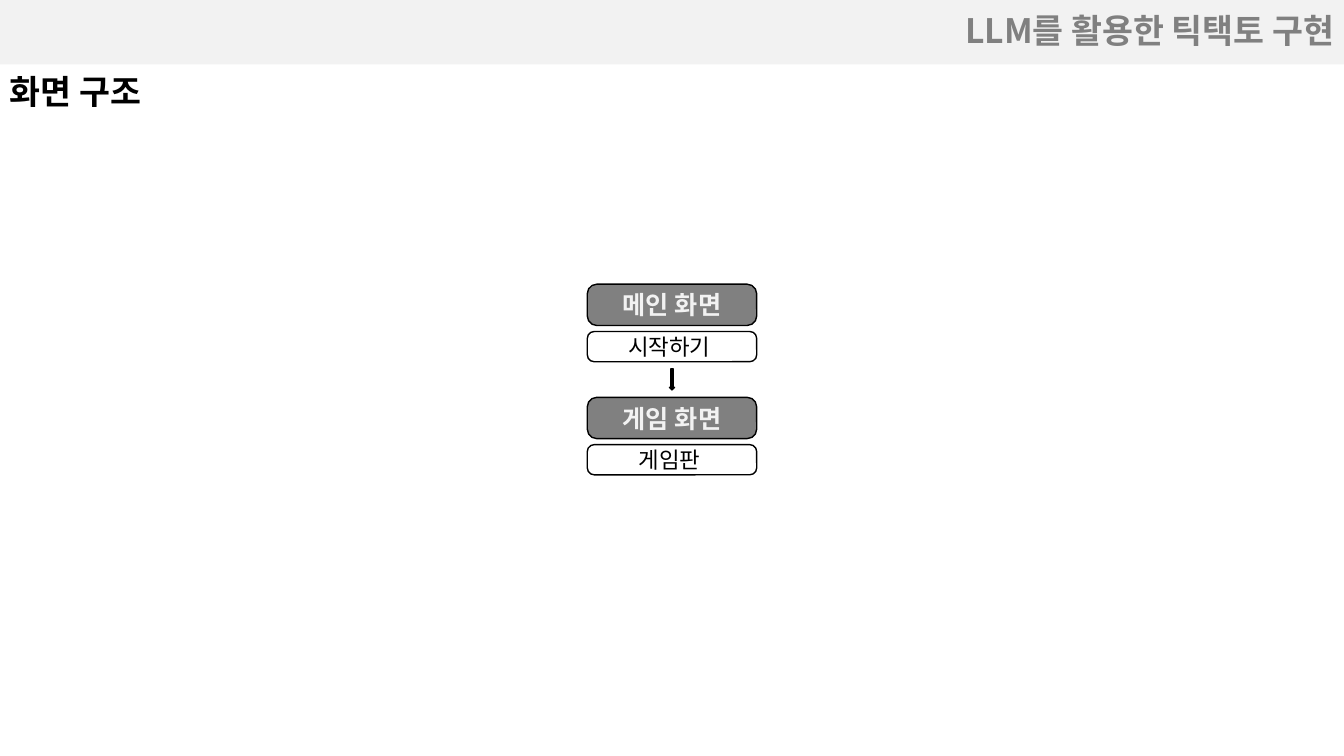
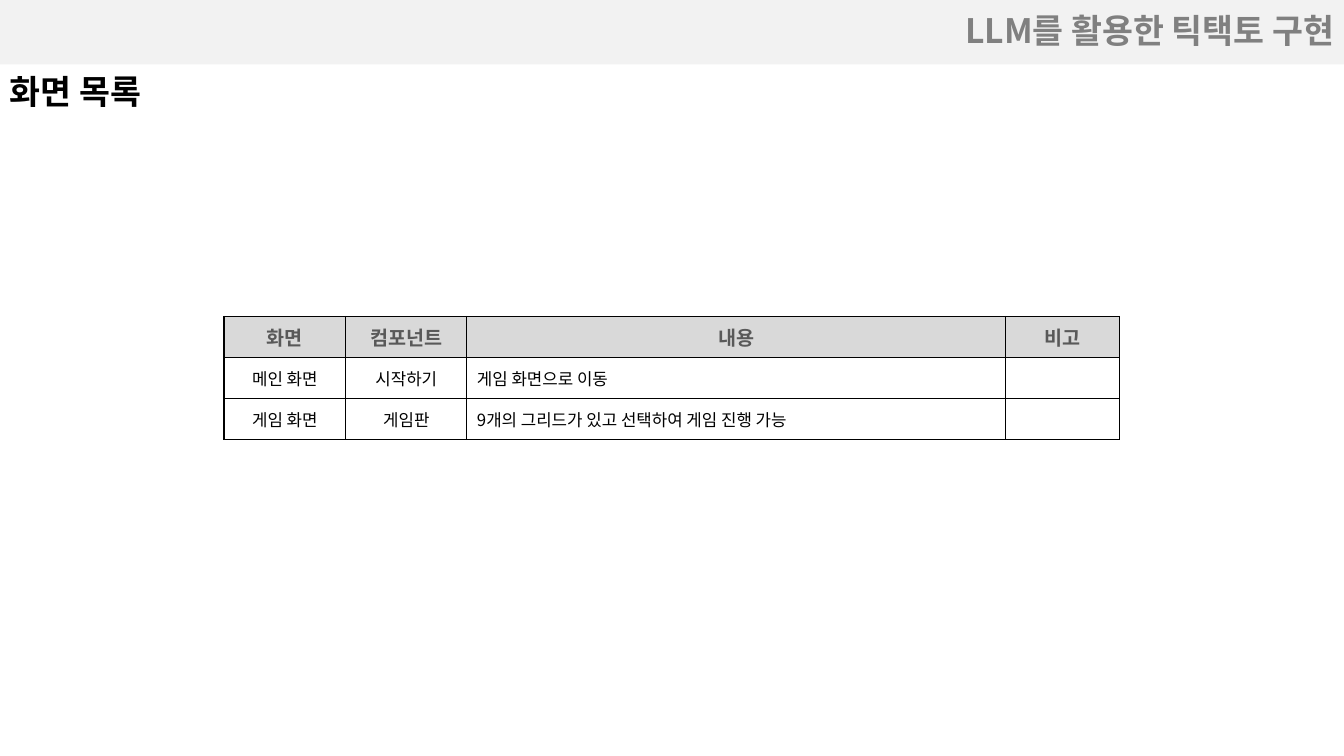
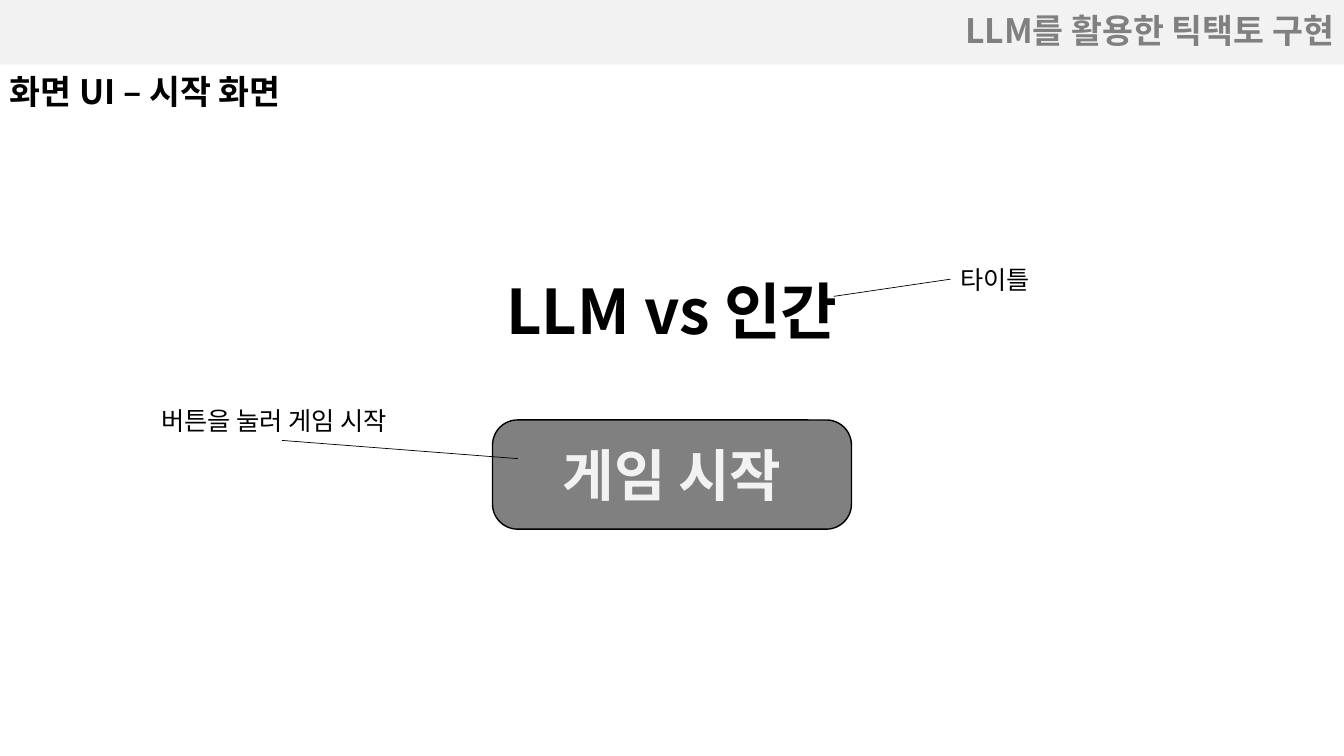
from lxml import etree
from pptx import Presentation
from pptx.dml.color import RGBColor
from pptx.enum.shapes import MSO_CONNECTOR, MSO_SHAPE
from pptx.enum.text import MSO_ANCHOR, MSO_AUTO_SIZE, PP_ALIGN
from pptx.oxml.ns import qn
from pptx.util import Pt

LEFT, CENTER, RIGHT = PP_ALIGN.LEFT, PP_ALIGN.CENTER, PP_ALIGN.RIGHT
MIDDLE = MSO_ANCHOR.MIDDLE
NO_FIT, GROW = MSO_AUTO_SIZE.NONE, MSO_AUTO_SIZE.SHAPE_TO_FIT_TEXT
ROUNDED, DOWN_ARROW = MSO_SHAPE.ROUNDED_RECTANGLE, MSO_SHAPE.DOWN_ARROW
STRAIGHT = MSO_CONNECTOR.STRAIGHT

FONT = "Noto Sans CJK KR"
WIDTH, HEIGHT = 960, 540
COLORS = {
    "black": "000000",
    "white": "FFFFFF",
    "band": "F2F2F2",
    "gray": "808080",
    "header": "D9D9D9",
    "header_text": "595959",
}
DECK_TITLE = "LLM를 활용한 틱택토 구현"


def color(name):
    return RGBColor.from_string(COLORS[name])


def centered(width):
    return (WIDTH - width) / 2


class Deck:
    """Holds the presentation, its style and the current slide."""

    def __init__(self):
        self.prs = Presentation()
        self.prs.slide_width, self.prs.slide_height = Pt(WIDTH), Pt(HEIGHT)
        self.slide = None

    def new_slide(self, heading):
        self.slide = self.prs.slides.add_slide(self.prs.slide_layouts[5])
        band = self.slide.shapes.title
        place = {"left": 0, "top": 0, "width": WIDTH, "height": 46}
        for key, value in place.items():
            setattr(band, key, Pt(value))
        band.fill.solid()
        band.fill.fore_color.rgb = color("band")
        band.text_frame.auto_size = NO_FIT
        self.put_text(band.text_frame, DECK_TITLE, 24, "gray", True, RIGHT, MIDDLE)
        band.text_frame.paragraphs[0].line_spacing = 0.9
        self.text(0, 46.8, WIDTH, 36, heading, 24, bold=True)

    def put_text(self, frame, text, size, ink="black", bold=False, align=LEFT, anchor=None):
        if anchor is not None:
            frame.vertical_anchor = anchor
        paragraph = frame.paragraphs[0]
        paragraph.alignment = align
        if not text:
            etree.SubElement(paragraph._p, qn("a:endParaRPr"), sz=str(size * 100))
            return
        run = paragraph.add_run()
        run.text = text
        for key, value in {"name": FONT, "size": Pt(size), "bold": bold}.items():
            setattr(run.font, key, value)
        run.font.color.rgb = color(ink)
        # East Asian typeface for the Korean text
        latin = run.font._element.find(qn("a:latin"))
        east_asian = etree.Element(qn("a:ea"), typeface=FONT)
        latin.addnext(east_asian)

    def text(self, left, top, width, height, text, size, bold=False, align=LEFT, wrap=True):
        box = self.slide.shapes.add_textbox(Pt(left), Pt(top), Pt(width), Pt(height))
        box.text_frame.word_wrap = wrap
        box.text_frame.auto_size = GROW
        self.put_text(box.text_frame, text, size, bold=bold, align=align)

    def shape(self, kind, left, top, width, height, fill):
        shape = self.slide.shapes.add_shape(kind, Pt(left), Pt(top), Pt(width), Pt(height))
        shape.shadow.inherit = False
        shape.fill.solid()
        shape.fill.fore_color.rgb = color(fill)
        shape.line.color.rgb = color("black")
        shape.line.width = Pt(1)
        return shape

    def card(self, top, width, height, text, size, dark=True):
        card = self.shape(ROUNDED, centered(width), top, width, height,
                          "gray" if dark else "white")
        card.adjustments[0] = 0.23
        self.put_text(card.text_frame, text, size, "band" if dark else "black",
                      dark, CENTER, MIDDLE)

    def line(self, x1, y1, x2, y2):
        line = self.slide.shapes.add_connector(STRAIGHT, Pt(x1), Pt(y1), Pt(x2), Pt(y2))
        line.line.color.rgb = color("black")
        line.line.width = Pt(0.5)
        etree.SubElement(line._element.spPr, qn("a:effectLst"))

    def border(self, cell):
        properties = cell._tc.get_or_add_tcPr()
        for index, side in enumerate(("a:lnL", "a:lnR", "a:lnT", "a:lnB")):
            edge = etree.Element(qn(side), w=str(Pt(1)))
            fill = etree.SubElement(edge, qn("a:solidFill"))
            etree.SubElement(fill, qn("a:srgbClr"), val=COLORS["black"])
            properties.insert(index, edge)

    def table(self, top, widths, row_height, rows, aligns):
        total = sum(widths)
        table = self.slide.shapes.add_table(
            len(rows), len(widths), Pt(centered(total)), Pt(top),
            Pt(total), Pt(row_height * len(rows))).table
        table.first_row = table.horz_banding = False
        for column, width in zip(table.columns, widths):
            column.width = Pt(width)
        for r, row in enumerate(rows):
            table.rows[r].height = Pt(row_height)
            for c, text in enumerate(row):
                cell = table.cell(r, c)
                cell.fill.solid()
                cell.fill.fore_color.rgb = color("white" if r else "header")
                cell.vertical_anchor = MIDDLE
                if r:
                    self.put_text(cell.text_frame, text, 12, align=aligns[c])
                else:
                    self.put_text(cell.text_frame, text, 14, "header_text", True, CENTER)
                self.border(cell)


deck = Deck()

# Screen structure: each screen with its component, joined by an arrow
deck.new_slide("화면 구조")
SCREENS = [("메인 화면", "시작하기 "), ("게임 화면", "게임판 ")]
for i, (screen, component) in enumerate(SCREENS):
    top = 203 + i * 80.8
    if i:
        deck.shape(DOWN_ARROW, centered(3.6), top - 20.3, 3.6, 15, "black")
    deck.card(top, 121, 29.5, screen, 18)
    deck.card(top + 33.8, 121, 21.6, component, 16, dark=False)

# Screen list
deck.new_slide("화면 목록")
deck.table(226, [87, 86.5, 385, 81.5], 29.3, [
    ["화면", "컴포넌트", "내용", "비고"],
    ["메인 화면", "시작하기", "게임 화면으로 이동", ""],
    ["게임 화면", "게임판", "9개의 그리드가 있고 선택하여 게임 진행 가능", ""],
], [CENTER, CENTER, LEFT, LEFT])

# Start screen with callouts
deck.new_slide("화면 UI – 시작 화면 ")
deck.card(300, 256.4, 78, "게임 시작", 40)
deck.text(0, 191.5, WIDTH, 60.5, "LLM vs 인간", 44, bold=True, align=CENTER)
deck.line(370, 327.6, 201.6, 314.6)
deck.text(108, 285.8, 197, 28.8, "버튼을 눌러 게임 시작", 18, wrap=False)
deck.line(595.5, 211.7, 679, 199.4)
deck.text(679, 185, 69, 28.8, "타이틀", 18, wrap=False)

deck.prs.save("out.pptx")
